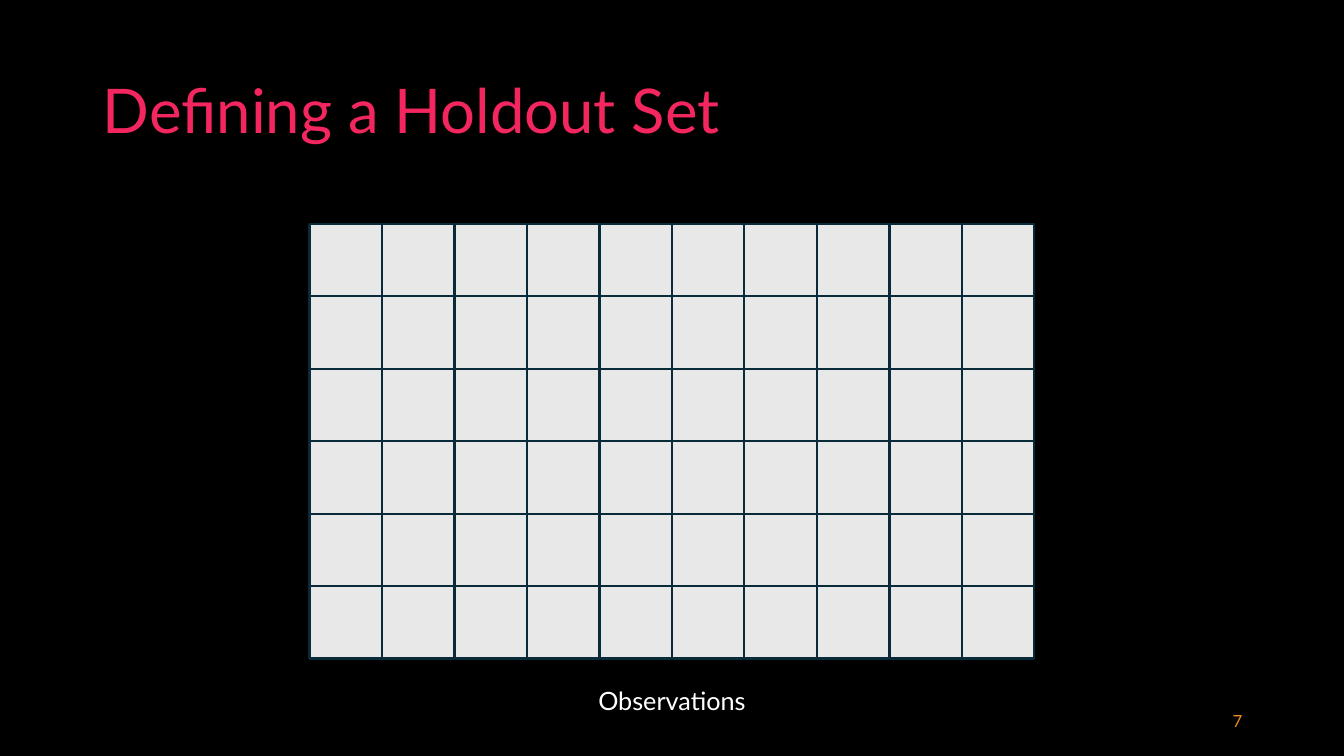
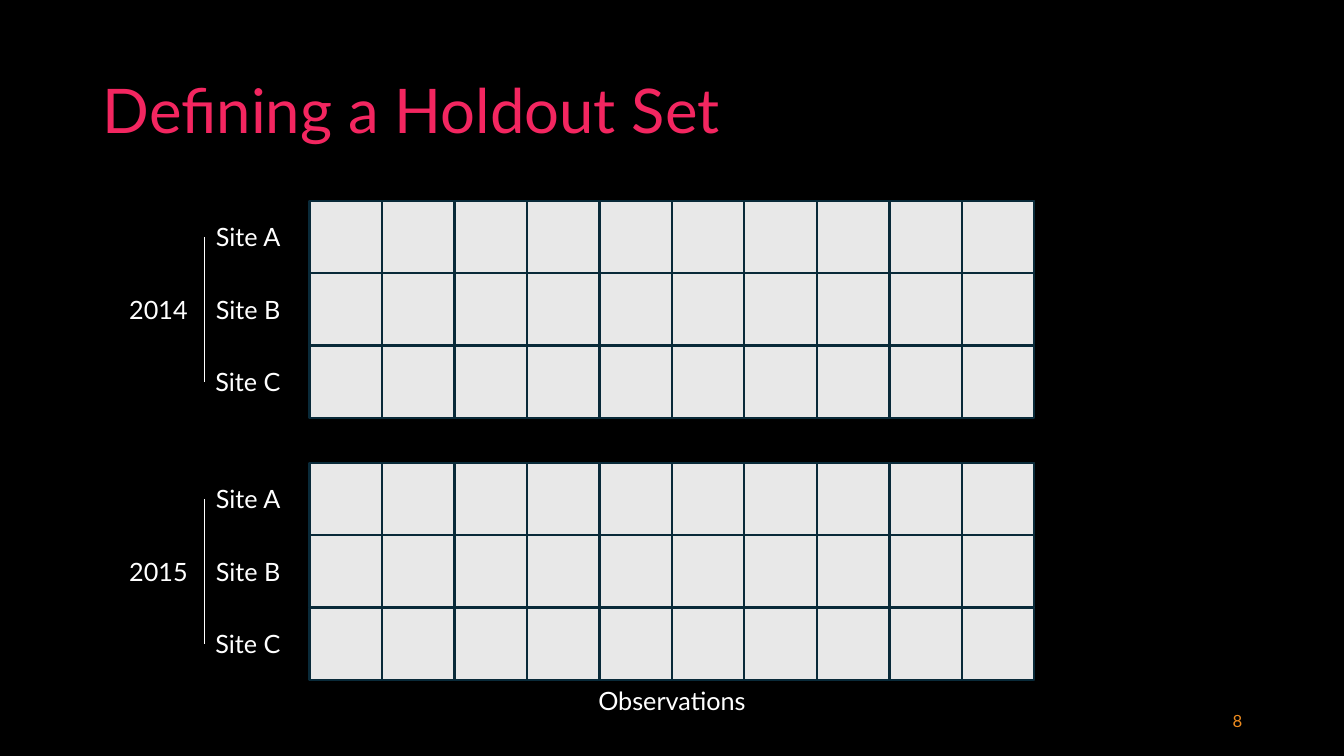
from lxml.etree import SubElement
from pptx import Presentation
from pptx.dml.color import RGBColor
from pptx.enum.shapes import MSO_CONNECTOR, MSO_SHAPE
from pptx.enum.text import MSO_ANCHOR, MSO_AUTO_SIZE, PP_ALIGN
from pptx.oxml.ns import qn
from pptx.util import Inches, Pt

# Shared style
FONT = "Lato"
BLACK, WHITE = "000000", "FFFFFF"
PINK, ORANGE = "F32660", "ED8B1F"
CELL_FILL, CELL_EDGE = "E8E8E8", "092A39"

# Grid geometry, in inches
COLUMNS = 10
GRID_LEFT, GRID_WIDTH = 3.07, 7.19
CELL = GRID_WIDTH / COLUMNS
LABEL_WIDTH, LABEL_HEIGHT = 0.85, 0.4
SITE_LEFT, YEAR_LEFT = 2.03, 1.11

SITES = ["Site A", "Site B", "Site C"]
YEAR_TOPS = {"2014": 1.99, "2015": 4.59}


def color(hex_value):
    return RGBColor.from_string(hex_value)


def write(frame, text, size=18, fill=WHITE, align=PP_ALIGN.LEFT,
          anchor=MSO_ANCHOR.TOP, spacing=1.0, auto_size=MSO_AUTO_SIZE.NONE):
    frame.text = text
    frame.word_wrap = True
    frame.auto_size = auto_size
    frame.vertical_anchor = anchor
    paragraph = frame.paragraphs[0]
    paragraph.alignment = align
    paragraph.line_spacing = spacing
    paragraph.font.name = FONT
    paragraph.font.size = Pt(size)
    paragraph.font.color.rgb = color(fill)


def add_label(slide, text, left, top, width=LABEL_WIDTH, **style):
    label = slide.shapes.add_textbox(Inches(left), Inches(top), Inches(width),
                                     Inches(LABEL_HEIGHT))
    write(label.text_frame, text, **style)


def add_grid(slide, top, rows):
    for row in range(rows):
        for column in range(COLUMNS):
            cell = slide.shapes.add_shape(
                MSO_SHAPE.RECTANGLE, Inches(GRID_LEFT + column * CELL),
                Inches(top + row * CELL), Inches(CELL), Inches(CELL))
            cell.shadow.inherit = False
            cell.fill.solid()
            cell.fill.fore_color.rgb = color(CELL_FILL)
            cell.line.color.rgb = color(CELL_EDGE)
            cell.line.width = Pt(1.5)


def add_bracket(slide, left, top, bottom):
    bracket = slide.shapes.add_connector(
        MSO_CONNECTOR.STRAIGHT, Inches(left), Inches(top), Inches(left), Inches(bottom))
    bracket.line.color.rgb = color(WHITE)
    bracket.line.width = Pt(1)
    SubElement(bracket._element.spPr, qn("a:effectLst"))


def add_year(slide, year, top):
    """One year's grid, with its site labels, bracket and year label."""
    add_grid(slide, top, len(SITES))
    centers = [top + (row + 0.5) * CELL for row in range(len(SITES))]
    style = dict(align=PP_ALIGN.RIGHT, auto_size=MSO_AUTO_SIZE.SHAPE_TO_FIT_TEXT)
    for site, center in zip(SITES, centers):
        add_label(slide, site, SITE_LEFT, center - LABEL_HEIGHT / 2, **style)
    middle = (centers[0] + centers[-1]) / 2
    add_label(slide, year, YEAR_LEFT, middle - LABEL_HEIGHT / 2, **style)
    add_bracket(slide, SITE_LEFT, centers[0], centers[-1])


def add_holdout_slide(prs, number):
    """Title, slide number and axis caption common to both slides."""
    slide = prs.slides.add_slide(prs.slide_layouts[5])
    title = slide.shapes.title
    title.left, title.top = Inches(0.92), Inches(0.4)
    title.width, title.height = Inches(11.5), Inches(1.45)
    write(title.text_frame, "Defining a Holdout Set", size=44, fill=PINK,
          anchor=MSO_ANCHOR.MIDDLE, spacing=0.9)
    add_label(slide, str(number), 9.42, 6.95, width=3, size=12, fill=ORANGE,
              align=PP_ALIGN.RIGHT, anchor=MSO_ANCHOR.MIDDLE)
    caption_width = 1.93
    add_label(slide, "Observations", GRID_LEFT + (GRID_WIDTH - caption_width) / 2, 6.75,
              width=caption_width, align=PP_ALIGN.CENTER,
              auto_size=MSO_AUTO_SIZE.SHAPE_TO_FIT_TEXT)
    return slide


def main():
    prs = Presentation()
    prs.slide_width, prs.slide_height = Inches(13.33), Inches(7.5)
    background = prs.slide_master.background.fill
    background.solid()
    background.fore_color.rgb = color(BLACK)

    # All observations in one grid
    pooled = add_holdout_slide(prs, 7)
    add_grid(pooled, 2.22, rows=6)

    # Observations split by year and site
    grouped = add_holdout_slide(prs, 8)
    for year, top in YEAR_TOPS.items():
        add_year(grouped, year, top)

    prs.save("out.pptx")


if __name__ == "__main__":
    main()
